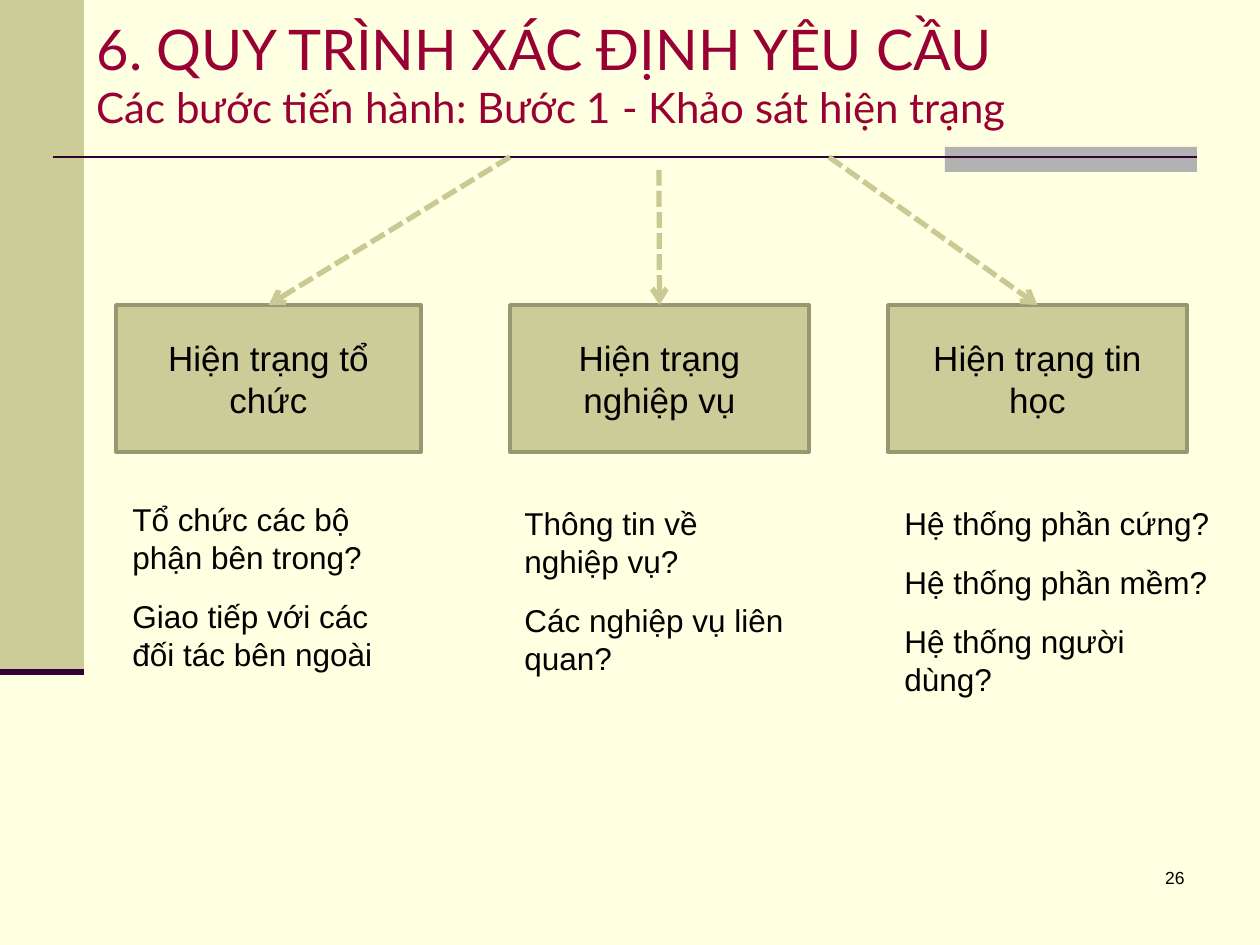
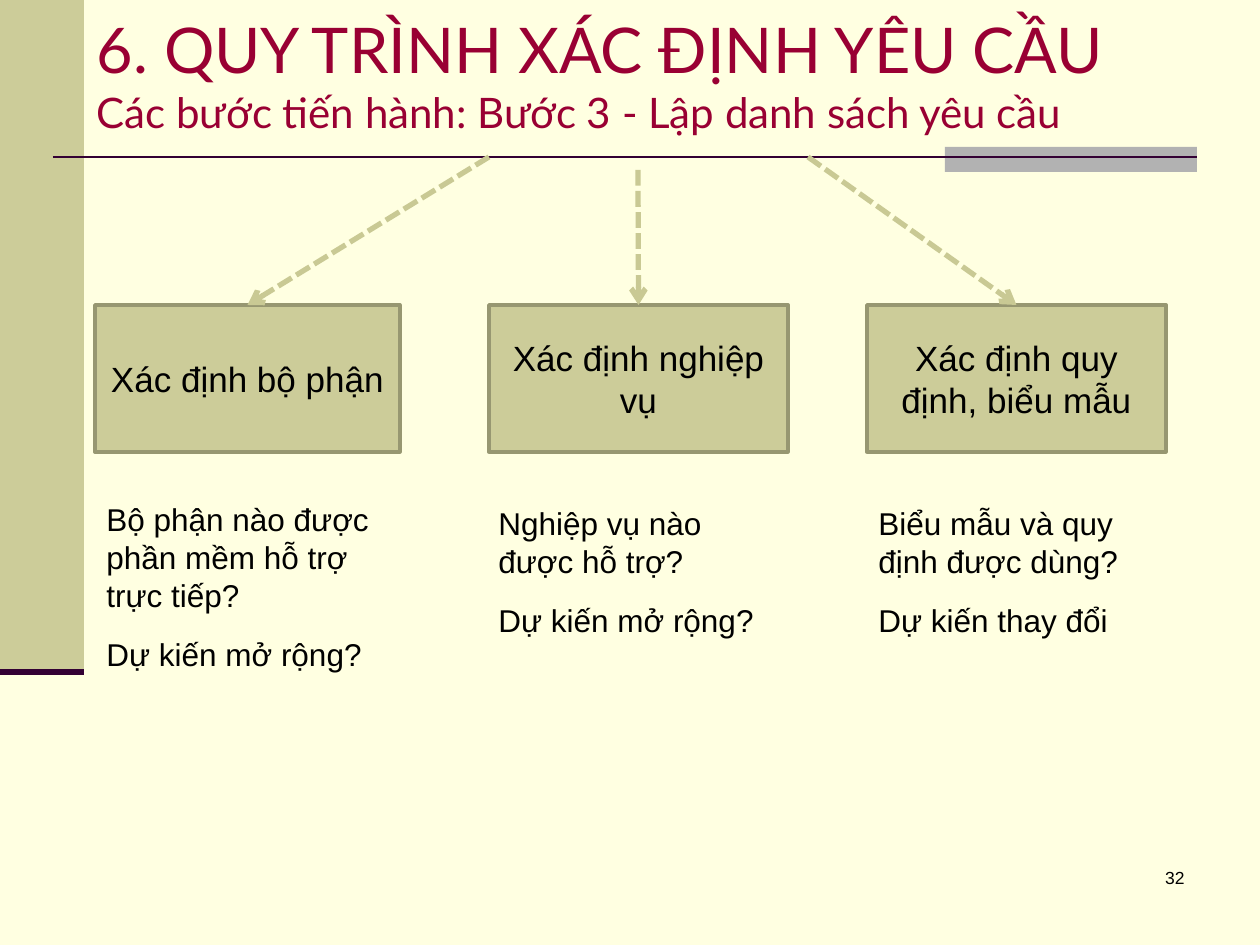
from lxml import etree
from pptx import Presentation
from pptx.dml.color import RGBColor
from pptx.enum.dml import MSO_LINE
from pptx.enum.shapes import MSO_CONNECTOR, MSO_SHAPE
from pptx.enum.text import MSO_ANCHOR, MSO_AUTO_SIZE, PP_ALIGN
from pptx.oxml.ns import qn
from pptx.util import Emu, Pt

HEADING = "6. QUY TRÌNH XÁC ĐỊNH YÊU CẦU"
SLIDES = [
    {
        "subtitle": "Các bước tiến hành: Bước 1 - Khảo sát hiện trạng",
        "heading_size": 32,
        "number": "26",
        "box_left": 116,
        "note_left": 120,
        "note_widths": (305, 296, 336),
        "columns": [
            ("Hiện trạng tổ chức",
             ["Tổ chức các bộ phận bên trong?", "Giao tiếp với các đối tác bên ngoài"]),
            ("Hiện trạng nghiệp vụ",
             ["Thông tin về nghiệp vụ?", "Các nghiệp vụ liên quan?"]),
            ("Hiện trạng tin học",
             ["Hệ thống phần cứng?", "Hệ thống phần mềm?", "Hệ thống người dùng?"]),
        ],
    },
    {
        "subtitle": "Các bước tiến hành: Bước 3 - Lập danh sách yêu cầu",
        "heading_size": 36,
        "number": "32",
        "box_left": 95,
        "note_left": 94,
        "note_widths": (305, 305, 305),
        "columns": [
            ("Xác định bộ phận",
             ["Bộ phận nào được phần mềm hỗ trợ trực tiếp?", "Dự kiến mở rộng?"]),
            ("Xác định nghiệp vụ",
             ["Nghiệp vụ nào được hỗ trợ?", "Dự kiến mở rộng?"]),
            ("Xác định quy định, biểu mẫu",
             ["Biểu mẫu và quy định được dùng?", "Dự kiến thay đổi"]),
        ],
    },
]

CREAM = RGBColor(0xFF, 0xFF, 0xE1)
OLIVE = RGBColor(0xCC, 0xCC, 0x99)
DARK_OLIVE = RGBColor(0x97, 0x97, 0x71)
ARROW_OLIVE = RGBColor(0xC9, 0xC9, 0x94)
GREY = RGBColor(0xB2, 0xB2, 0xB2)
PLUM = RGBColor(0x33, 0x00, 0x33)
CRIMSON = RGBColor(0x99, 0x00, 0x33)
BLACK = RGBColor(0, 0, 0)

RECTANGLE = MSO_SHAPE.RECTANGLE
STRAIGHT = MSO_CONNECTOR.STRAIGHT
DOTTED = MSO_LINE.SQUARE_DOT
MIDDLE, TOP = MSO_ANCHOR.MIDDLE, MSO_ANCHOR.TOP
LEFT, CENTER, RIGHT = PP_ALIGN.LEFT, PP_ALIGN.CENTER, PP_ALIGN.RIGHT
NO_FIT = MSO_AUTO_SIZE.NONE

TITLE_FONT, BODY_FONT = "Lato", "Arial"
TITLE_ONLY = 5
PIXELS_PER_INCH = 126
SLIDE_WIDTH, SLIDE_HEIGHT = 1260, 945
BAND_WIDTH, BAND_HEIGHT = 84, 672
RULE_LEFT, RULE_RIGHT, RULE_Y = 53, 1197, 157
BOX_TOP, BOX_HEIGHT = 305, 147
BOX_OFFSETS, BOX_WIDTHS = (0, 394, 772), (305, 299, 299)
ARROW_OFFSETS, ARROW_TOPS = (394, 543, 713), (RULE_Y, 170, RULE_Y)
NOTE_OFFSETS, NOTE_TOPS = (0, 392, 772), (494, 498, 498)
NOTE_HEIGHT = 186


def px(*values):
    return [Emu(round(value * 914400 / PIXELS_PER_INCH)) for value in values]


def add_rectangle(slide, left, top, width, height, color):
    shape = slide.shapes.add_shape(RECTANGLE, *px(left, top, width, height))
    shape.shadow.inherit = False
    shape.fill.solid()
    shape.fill.fore_color.rgb = color
    shape.line.fill.background()
    return shape


def add_line(slide, start_x, start_y, end_x, end_y, color, weight):
    line = slide.shapes.add_connector(STRAIGHT, *px(start_x, start_y, end_x, end_y))
    line.line.color.rgb = color
    line.line.width = Pt(weight)
    etree.SubElement(line._element.spPr, qn("a:effectLst"))
    return line


def add_arrow(slide, *ends):
    arrow = add_line(slide, *ends, ARROW_OLIVE, 3)
    arrow.line.dash_style = DOTTED
    tail = etree.SubElement(arrow.line._get_or_add_ln(), qn("a:tailEnd"))
    tail.set("type", "arrow")


def write(shape, lines, size, alignment, anchor):
    frame = shape.text_frame
    frame.word_wrap = True
    frame.vertical_anchor = anchor
    frame.text = "\n".join(lines)
    for paragraph in frame.paragraphs:
        paragraph.alignment = alignment
        paragraph.font.name = BODY_FONT
        paragraph.font.size = Pt(size)
        paragraph.font.color.rgb = BLACK
    return frame


def add_decoration(slide):
    add_rectangle(slide, 0, 0, BAND_WIDTH, BAND_HEIGHT, OLIVE)
    add_rectangle(slide, 945, 147, 252, 25, GREY)
    add_line(slide, RULE_LEFT, RULE_Y, RULE_RIGHT, RULE_Y, PLUM, 1.5)
    add_line(slide, 0, BAND_HEIGHT, BAND_WIDTH, BAND_HEIGHT, PLUM, 3.5)


def add_title(slide, subtitle, heading_size):
    title = slide.shapes.title
    title.left, title.top, title.width, title.height = px(BAND_WIDTH, 0, 1176, 147)
    frame = title.text_frame
    frame.text = f"{HEADING}\v{subtitle}"
    frame.auto_size = NO_FIT
    frame.vertical_anchor = MIDDLE
    paragraph = frame.paragraphs[0]
    paragraph.alignment = LEFT
    for run, size in zip(paragraph.runs, (heading_size, 24)):
        run.font.name = TITLE_FONT
        run.font.size = Pt(size)
        run.font.color.rgb = CRIMSON


def add_box(slide, left, width, label):
    box = add_rectangle(slide, left, BOX_TOP, width, BOX_HEIGHT, OLIVE)
    box.line.color.rgb = DARK_OLIVE
    box.line.width = Pt(2)
    write(box, [label], 20, CENTER, MIDDLE)


def add_note(slide, left, top, width, questions):
    note = slide.shapes.add_textbox(*px(left, top, width, NOTE_HEIGHT))
    frame = write(note, questions, 18, LEFT, TOP)
    for index, paragraph in enumerate(frame.paragraphs):
        paragraph.space_before = Pt(6 if index else 0)
        paragraph.space_after = Pt(6)


def build_slide(presentation, content):
    slide = presentation.slides.add_slide(presentation.slide_layouts[TITLE_ONLY])
    add_decoration(slide)
    add_title(slide, content["subtitle"], content["heading_size"])
    origin = content["box_left"]
    for index, (label, questions) in enumerate(content["columns"]):
        left, width = origin + BOX_OFFSETS[index], BOX_WIDTHS[index]
        add_box(slide, left, width, label)
        add_arrow(slide, origin + ARROW_OFFSETS[index], ARROW_TOPS[index],
                  left + width / 2, BOX_TOP)
        add_note(slide, content["note_left"] + NOTE_OFFSETS[index], NOTE_TOPS[index],
                 content["note_widths"][index], questions)
    number = slide.shapes.add_textbox(*px(935, 861, 262, 63))
    write(number, [content["number"]], 10, RIGHT, TOP)


def main():
    presentation = Presentation()
    presentation.slide_width, presentation.slide_height = px(SLIDE_WIDTH, SLIDE_HEIGHT)
    background = presentation.slide_master.background.fill
    background.solid()
    background.fore_color.rgb = CREAM
    for content in SLIDES:
        build_slide(presentation, content)
    presentation.save("out.pptx")


if __name__ == "__main__":
    main()
